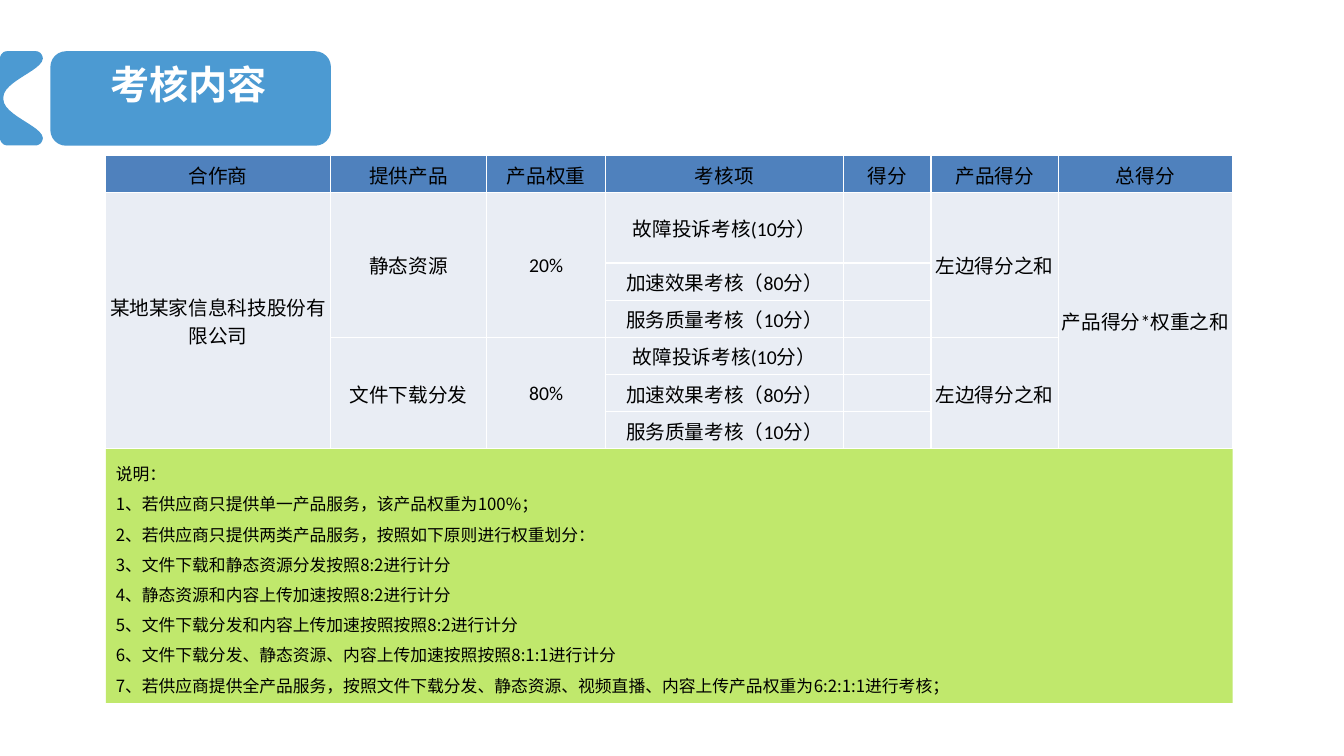
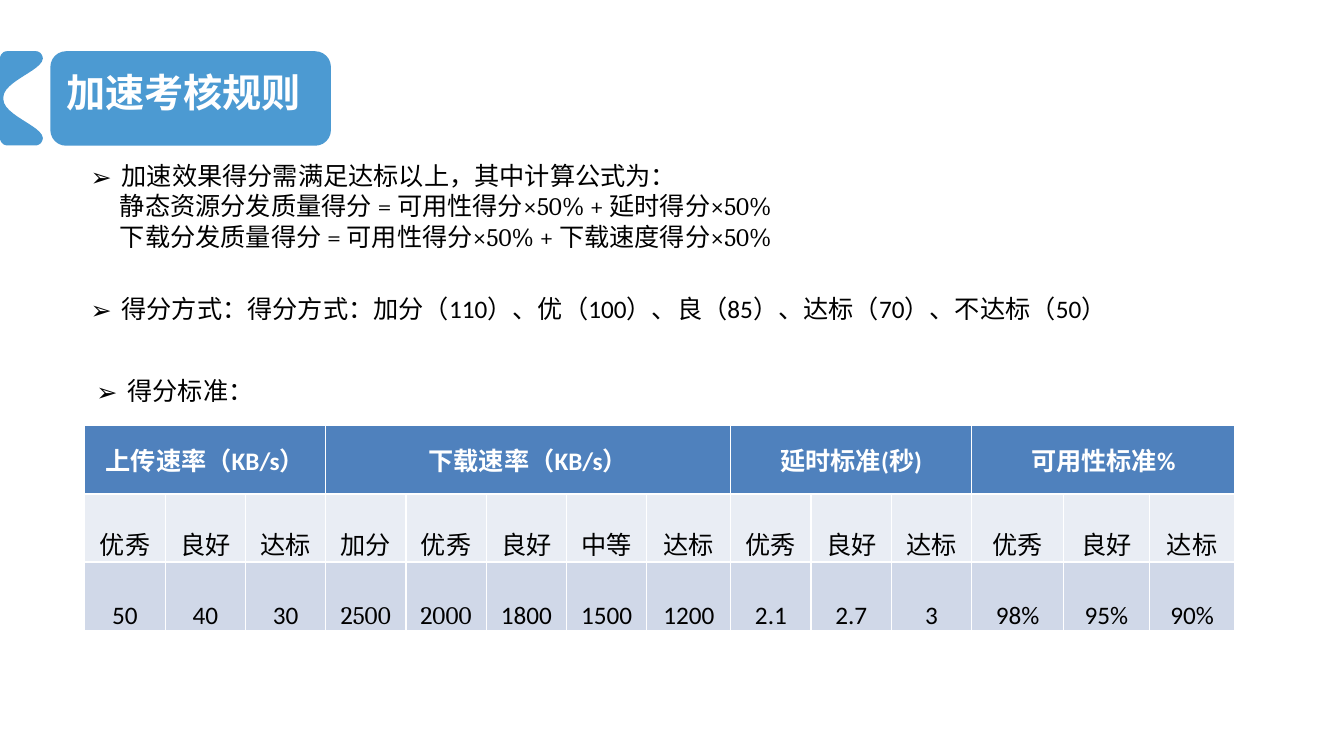
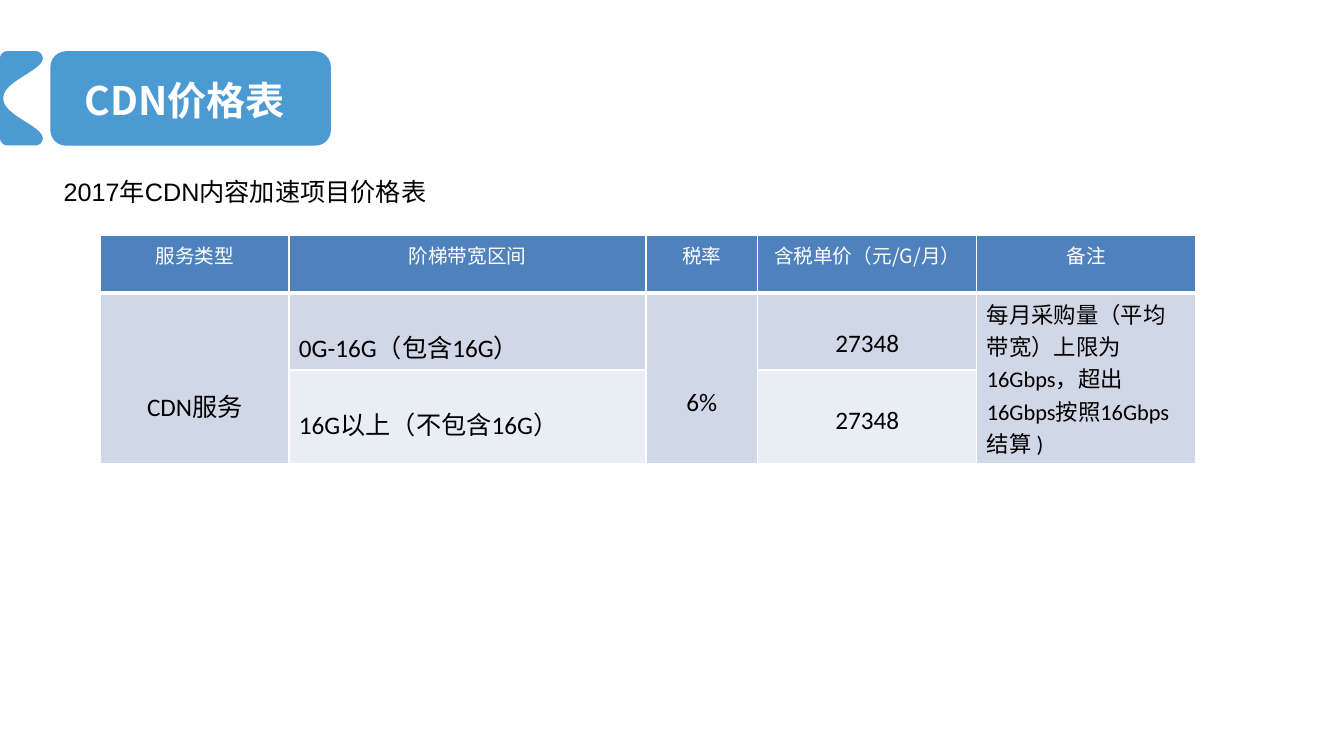
import lxml.etree
import pptx
import pptx.dml.color
import pptx.enum.shapes
import pptx.enum.text
import pptx.oxml.ns
import pptx.util

RGBColor = pptx.dml.color.RGBColor
Align = pptx.enum.text.PP_ALIGN
Anchor = pptx.enum.text.MSO_ANCHOR
Shapes = pptx.enum.shapes.MSO_SHAPE
qn = pptx.oxml.ns.qn

# Palette and fonts
BRAND = RGBColor(0x00, 0x70, 0xC0)
HEADER = RGBColor(0x4F, 0x81, 0xBD)
PALE = RGBColor(0xE9, 0xED, 0xF4)
MIST = RGBColor(0xD0, 0xD8, 0xE8)
LIME = RGBColor(0xC0, 0xE8, 0x6C)
WHITE = RGBColor(0xFF, 0xFF, 0xFF)
BLACK = RGBColor(0x00, 0x00, 0x00)
CJK, SANS, SERIF = "Noto Sans CJK SC", "Calibri", "Cambria"

# The slide is a grid of square cells
COLUMNS, ROWS = 160, 90
CELLS_PER_INCH = 12
BODY_LEADING = pptx.util.Pt(21.6)

# Upper half of the chevron on the left edge, mirrored for the lower half
CHEVRON_START = (0, 7)
CHEVRON_CURVES = [
    [(0, 6.5), (0.4, 6.1), (0.84, 6.1)],
    [(1.9, 6.1), (3.2, 6.1), (4.3, 6.1)],
    [(4.7, 6.1), (5.1, 6.5), (5.1, 7)],
    [(5, 8.4), (0.4, 9.7), (0.4, 11.6)],
]
CHEVRON_MIDDLE = 11.7


def grid(cells):
    return pptx.util.Inches(cells / CELLS_PER_INCH)


def bezier(start, first, second, end, steps=12):
    """Points along a cubic curve, without its start."""
    for step in range(1, steps + 1):
        t = step / steps
        u = 1 - t
        yield tuple(u**3 * a + 3 * u * u * t * b + 3 * u * t * t * c + t**3 * d
                    for a, b, c, d in zip(start, first, second, end))


class Deck:
    """Holds the shared style and the current slide."""

    def __init__(self):
        self.presentation = pptx.Presentation()
        self.presentation.slide_width = grid(COLUMNS)
        self.presentation.slide_height = grid(ROWS)
        self.slide = None

    def add_slide(self, title, box):
        layout = self.presentation.slide_layouts[6]
        self.slide = self.presentation.slides.add_slide(layout)
        badge = self.shape(Shapes.FLOWCHART_ALTERNATE_PROCESS, (6, 6.1, 33.4, 11.25), BRAND)
        for shape in (badge, self.chevron()):
            color = shape.fill._xPr.find(".//" + qn("a:srgbClr"))
            lxml.etree.SubElement(color, qn("a:alpha")).set("val", "70000")
        self.text([title], box, size=28, color=WHITE, font=CJK, bold=True,
                  align=Align.CENTER, spacing=0.9)

    def paint(self, shape, color):
        shape.shadow.inherit = False
        shape.fill.solid()
        shape.fill.fore_color.rgb = color
        shape.line.fill.background()
        return shape

    def shape(self, kind, box, color):
        return self.paint(self.slide.shapes.add_shape(kind, *map(grid, box)), color)

    def chevron(self):
        upper = [CHEVRON_START]
        for curve in CHEVRON_CURVES:
            upper.extend(bezier(upper[-1], *curve))
        lower = [(x, 2 * CHEVRON_MIDDLE - y) for x, y in reversed(upper)]
        points = [(grid(x), grid(y)) for x, y in upper + lower]
        builder = self.slide.shapes.build_freeform(*points[0], scale=1.0)
        builder.add_line_segments(points[1:], close=True)
        return self.paint(builder.convert_to_shape(), BRAND)

    def style(self, paragraph, size=18, color=BLACK, font=SANS, bold=False,
              align=Align.LEFT, spacing=None, bullet=False, indent=0):
        paragraph.alignment = align
        if spacing:
            paragraph.line_spacing = spacing
        properties = paragraph._p.get_or_add_pPr()
        if bullet or indent:
            properties.set("marL", str(grid(3.7) if bullet else 0))
            properties.set("indent", str(grid(-3.7 if bullet else indent)))
        if bullet:
            lxml.etree.SubElement(properties, qn("a:buFont")).set("typeface", CJK)
            lxml.etree.SubElement(properties, qn("a:buChar")).set("char", "➢")
        paragraph.font.size = pptx.util.Pt(size)
        paragraph.font.bold = bold
        paragraph.font.color.rgb = color
        paragraph.font.name = font
        east_asian = lxml.etree.SubElement(properties.find(qn("a:defRPr")), qn("a:ea"))
        east_asian.set("typeface", CJK)

    def fill_frame(self, frame, lines, **style):
        frame.word_wrap = True
        for number, line in enumerate(lines):
            paragraph = frame.paragraphs[0] if number == 0 else frame.add_paragraph()
            paragraph.text = line
            self.style(paragraph, **style)

    def text(self, lines, box, **style):
        shape = self.slide.shapes.add_textbox(*map(grid, box))
        self.fill_frame(shape.text_frame, lines, **style)
        return shape

    def panel(self, lines, box, color, **style):
        shape = self.shape(Shapes.RECTANGLE, box, color)
        shape.text_frame.vertical_anchor = Anchor.TOP
        self.fill_frame(shape.text_frame, lines, **style)

    def border(self, cell, bottom):
        properties = cell._tc.get_or_add_tcPr()
        for number, side in enumerate(("lnL", "lnR", "lnT", "lnB")):
            line = lxml.etree.Element(qn("a:" + side))
            line.set("w", str(pptx.util.Pt(bottom if side == "lnB" else 1)))
            fill = lxml.etree.SubElement(line, qn("a:solidFill"))
            lxml.etree.SubElement(fill, qn("a:srgbClr")).set("val", str(WHITE))
            properties.insert(number, line)

    def cell(self, cell, text, fill, anchor=Anchor.MIDDLE, margins=(0.12, 0.12, 0.12, 0),
             bottom=1, **style):
        cell.fill.solid()
        cell.fill.fore_color.rgb = fill
        cell.vertical_anchor = anchor
        (cell.margin_left, cell.margin_top,
         cell.margin_right, cell.margin_bottom) = map(grid, margins)
        self.border(cell, bottom)
        self.fill_frame(cell.text_frame, [text], **{"align": Align.CENTER, **style})

    def table(self, left, top, widths, heights, texts, row_styles, spans=(), overrides=None):
        """Spans are (row, column, rows, columns); overrides restyle single cells."""
        overrides = overrides or {}
        table = self.slide.shapes.add_table(
            len(heights), len(widths), grid(left), grid(top),
            grid(sum(widths)), grid(sum(heights))).table
        table.first_row = table.horz_banding = False
        for column, width in zip(table.columns, widths):
            column.width = grid(width)
        for row, height in zip(table.rows, heights):
            row.height = grid(height)
        for row, (line, row_style) in enumerate(zip(texts, row_styles)):
            for column, text in enumerate(line):
                style = {**row_style, **overrides.get((row, column), {})}
                self.cell(table.cell(row, column), text, **style)
        for row, column, rows, columns in spans:
            last = table.cell(row + rows - 1, column + columns - 1)
            table.cell(row, column).merge(last)


def assessment_slide(deck):
    deck.add_slide("考核内容", (6.2, 7.2, 32.5, 11.3))
    # Scoring notes
    deck.panel([
        "说明：",
        "1、若供应商只提供单一产品服务，该产品权重为100%；",
        "2、若供应商只提供两类产品服务，按照如下原则进行权重划分：",
        "3、文件下载和静态资源分发按照8:2进行计分",
        "4、静态资源和内容上传加速按照8:2进行计分",
        "5、文件下载分发和内容上传加速按照按照8:2进行计分",
        "6、文件下载分发、静态资源、内容上传加速按照按照8:1:1进行计分",
        "7、若供应商提供全产品服务，按照文件下载分发、静态资源、视频直播、"
        "内容上传产品权重为6:2:1:1进行考核；",
    ], (12.6, 53.42, 134.15, 30.25), LIME, size=12, font=CJK, spacing=BODY_LEADING)
    # Score sheet: two products with the same three checks
    checks = ["故障投诉考核(10分）", "加速效果考核（80分）", "服务质量考核（10分）"]
    texts = [["合作商", "提供产品", "产品权重", "考核项", "得分", "产品得分", "总得分"]]
    for product, weight in (("静态资源", "20%"), ("文件下载分发", "80%")):
        for number, check in enumerate(checks):
            first = [product, weight, "左边得分之和"] if number == 0 else ["", "", ""]
            texts.append(["", first[0], first[1], check, "", first[2], ""])
    texts[1][0] = "某地某家信息科技股份有限公司"
    texts[1][6] = "产品得分*权重之和"
    spans = [(1, column, 6, 1) for column in (0, 6)]
    spans += [(row, column, 3, 1) for row in (1, 4) for column in (1, 2, 5)]
    deck.table(12.6, 18.5, [26.75, 18.6, 14.15, 28.3, 10.45, 15.15, 20.75],
               [4.42, 8.4] + [4.42] * 5, texts,
               [dict(fill=HEADER, size=14)] + [dict(fill=PALE, size=14)] * 6, spans)


def rules_slide(deck):
    deck.add_slide("加速考核规则", (0.6, 8.15, 42.5, 6.6))
    # Formula and scoring bullets
    formula = deck.text(["加速效果得分需满足达标以上，其中计算公式为："],
                        (9.6, 18.5, 115.8, 12.1), font=SERIF, align=Align.JUSTIFY,
                        spacing=BODY_LEADING, bullet=True)
    for line in ("静态资源分发质量得分 = 可用性得分×50% + 延时得分×50%",
                 "下载分发质量得分 = 可用性得分×50% + 下载速度得分×50%"):
        paragraph = formula.text_frame.add_paragraph()
        paragraph.text = line
        deck.style(paragraph, font=SERIF, align=Align.JUSTIFY,
                   spacing=BODY_LEADING, indent=3.5)
    for line, box in (
            ("得分方式：得分方式：加分（110）、优（100）、良（85）、达标（70）、不达标（50）",
             (9.6, 34.3, 124.6, 8.5)),
            ("得分标准：", (10.3, 44.15, 24, 4.8))):
        deck.text([line], box, spacing=BODY_LEADING, bullet=True)
    # Thresholds by measure
    measures = [
        ("上传速率（KB/s）", ["优秀", "良好", "达标"], ["50", "40", "30"]),
        ("下载速率（KB/s）", ["加分", "优秀", "良好", "中等", "达标"],
         ["2500", "2000", "1800", "1500", "1200"]),
        ("延时标准(秒)", ["优秀", "良好", "达标"], ["2.1", "2.7", "3"]),
        ("可用性标准%", ["优秀", "良好", "达标"], ["98%", "95%", "90%"]),
    ]
    texts, spans = [[], [], []], []
    for name, grades, limits in measures:
        spans.append((0, len(texts[0]), 1, len(grades)))
        texts[0] += [name] + [""] * (len(grades) - 1)
        texts[1] += grades
        texts[2] += limits
    margins = (0.84, 0, 0.84, 0)
    lower = dict(margins=margins, anchor=Anchor.BOTTOM)
    serif_cells = [(1, 3), (1, 6), (2, 3), (2, 4)]
    deck.table(10.1, 50.7, [9.56] * 7 + [10] + [9.56] * 3 + [10.95, 10.2, 10.2],
               [8.1, 8.1, 8.2], texts,
               [dict(fill=HEADER, color=WHITE, bold=True, margins=margins),
                dict(fill=PALE, **lower), dict(fill=MIST, **lower)],
               spans, {place: dict(font=SERIF) for place in serif_cells})


def price_slide(deck):
    deck.add_slide("CDN价格表", (6.4, 9.1, 31.2, 6.6))
    # Price table
    texts = [
        ["服务类型", "阶梯带宽区间", "税率", "含税单价（元/G/月）", "备注"],
        ["CDN服务", "0G-16G（包含16G）", "6%", "27348",
         "每月采购量（平均带宽）上限为16Gbps，超出16Gbps按照16Gbps结算 )"],
        ["", "16G以上（不包含16G）", "", "27348", ""],
    ]
    one_line_down = (1.2, 4.26, 1.2, 0.6)
    three_lines_down = (1.2, 11.3, 1.2, 0.6)
    body = dict(anchor=Anchor.TOP, margins=one_line_down)
    overrides = {(row, 1): dict(align=Align.LEFT) for row in (1, 2)}
    overrides.update({(1, column): dict(margins=three_lines_down) for column in (0, 2)})
    overrides[1, 4] = dict(size=16, align=Align.LEFT, margins=(1.2, 0.6, 1.2, 0.6),
                           spacing=pptx.util.Pt(23))
    deck.table(12, 28.05, [22.4, 42.5, 13.3, 26.1, 26.1], [6.8, 9.2, 11.15], texts,
               [dict(fill=HEADER, color=WHITE, size=14, font=CJK, anchor=Anchor.TOP,
                     margins=(0.6, 0.6, 0.6, 0.6), bottom=3),
                dict(fill=MIST, **body), dict(fill=PALE, **body)],
               [(1, column, 2, 1) for column in (0, 2, 4)], overrides)
    # Caption
    deck.text(["2017年CDN内容加速项目价格表"], (6.4, 20.4, 45.6, 8),
              font="Arial", spacing=BODY_LEADING)


def main():
    deck = Deck()
    assessment_slide(deck)
    rules_slide(deck)
    price_slide(deck)
    deck.presentation.save("out.pptx")


if __name__ == "__main__":
    main()
